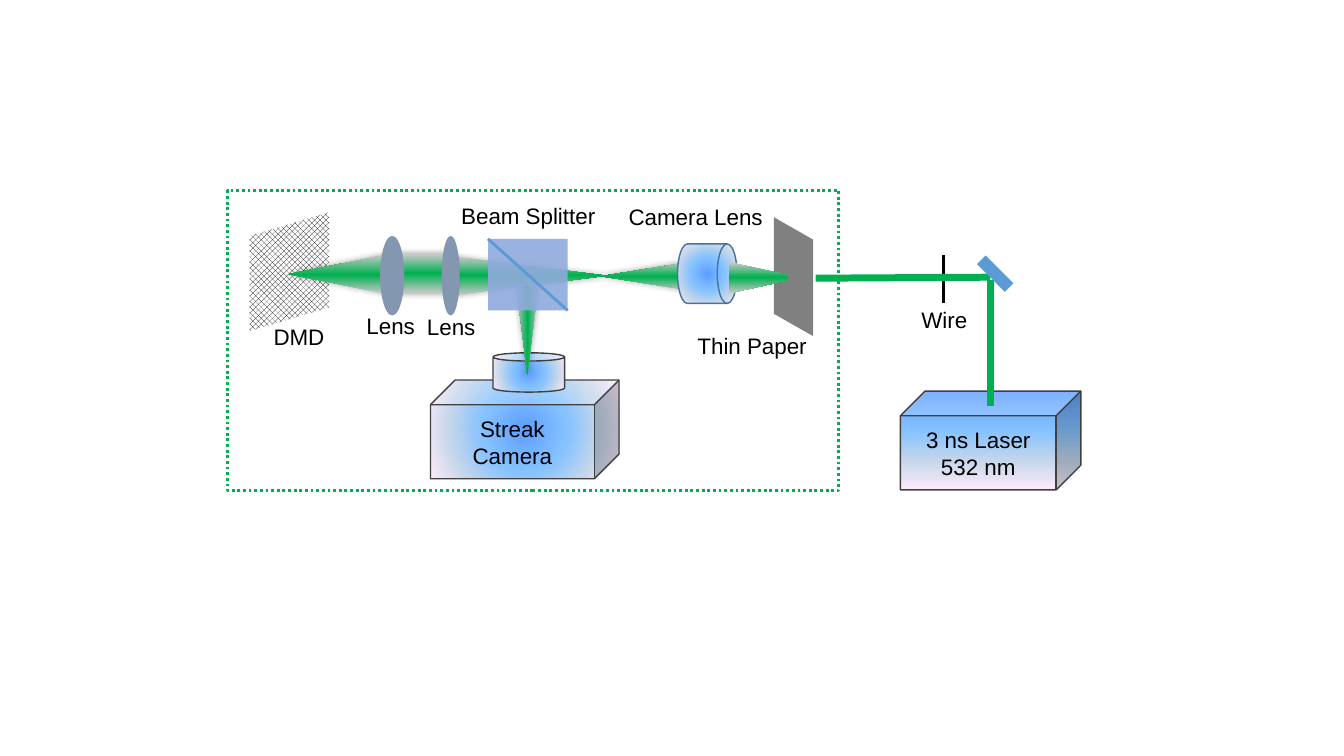
from lxml import etree
from pptx import Presentation
from pptx.dml.color import RGBColor
from pptx.enum.dml import MSO_LINE, MSO_PATTERN
from pptx.enum.shapes import MSO_CONNECTOR, MSO_SHAPE
from pptx.enum.text import MSO_ANCHOR, PP_ALIGN
from pptx.oxml.ns import qn
from pptx.util import Inches, Pt

TRIANGLE = MSO_SHAPE.ISOSCELES_TRIANGLE
RECTANGLE = MSO_SHAPE.RECTANGLE
CUBE = MSO_SHAPE.CUBE
CENTER, RIGHT = PP_ALIGN.CENTER, PP_ALIGN.RIGHT
BLANK_LAYOUT = 6

COLORS = {
    "black": "000000", "white": "FFFFFF", "green": "00B050", "beam_edge": "C9C9C9",
    "outline": "404040", "drum_outline": "43739E", "lens": "8497B0", "paper": "808080",
    "splitter": "8FAADC", "mirror": "5B9BD5",
    "glow_1": "5E9EFF", "glow_2": "85C2FF", "glow_3": "C4D6EB", "glow_4": "FFEBFA",
}
GLOW = [(0, "glow_1"), (40, "glow_2"), (70, "glow_3"), (100, "glow_4")]
BEAM = [(1, "beam_edge"), (48, "green"), (49, "green"), (100, "beam_edge")]


def rgb(name):
    return RGBColor.from_string(COLORS[name])


def child(parent, tag, **attributes):
    element = etree.SubElement(parent, qn(tag))
    for key, value in attributes.items():
        element.set(key, str(value))
    return element


def add_gradient(shape, stops, angle=None):
    """Linear gradient at the angle, or circular from the centre without one."""
    shape.fill.solid()
    properties = shape._element.spPr
    solid = properties.find(qn("a:solidFill"))
    gradient = etree.Element(qn("a:gradFill"), rotWithShape="1")
    stop_list = child(gradient, "a:gsLst")
    for position, color in stops:
        stop = child(stop_list, "a:gs", pos=position * 1000)
        child(stop, "a:srgbClr", val=COLORS[color])
    if angle is None:
        circle = child(gradient, "a:path", path="circle")
        child(circle, "a:fillToRect", l=50000, t=50000, r=50000, b=50000)
    else:
        child(gradient, "a:lin", ang=angle * 60000, scaled=0)
    properties.replace(solid, gradient)


def add_part(slide, kind, box, fill=None, line=None, width=1, rotation=0, adjustment=None):
    shape = slide.shapes.add_shape(kind, *(Inches(value) for value in box))
    shape.shadow.inherit = False
    shape.rotation = rotation
    if adjustment is not None:
        shape.adjustments[0] = adjustment
    if fill:
        shape.fill.solid()
        shape.fill.fore_color.rgb = rgb(fill)
    else:
        shape.fill.background()
    if line:
        shape.line.color.rgb = rgb(line)
        shape.line.width = Pt(width)
    else:
        shape.line.fill.background()
    return shape


def add_glowing_part(slide, kind, box, line="outline", angle=None, adjustment=None):
    shape = add_part(slide, kind, box, line=line, adjustment=adjustment)
    add_gradient(shape, GLOW, angle)
    return shape


def add_beam(slide, kind, box, rotation=0, angle=0, adjustment=None, halo=True):
    shape = add_part(slide, kind, box, rotation=rotation, adjustment=adjustment)
    add_gradient(shape, BEAM, angle)
    if halo:
        effects = shape._element.spPr.find(qn("a:effectLst"))
        shadow = child(effects, "a:outerShdw", blurRad=Pt(5), dist=0, dir=0,
                       algn="ctr", rotWithShape=0)
        color = child(shadow, "a:srgbClr", val=COLORS["black"])
        child(color, "a:alpha", val=40000)


def add_line(slide, start, end, color, width):
    points = [Inches(value) for value in (*start, *end)]
    connector = slide.shapes.add_connector(MSO_CONNECTOR.STRAIGHT, *points)
    connector.line.color.rgb = rgb(color)
    connector.line.width = Pt(width)
    child(connector._element.spPr, "a:effectLst")


def write(shape, lines, alignment=CENTER):
    frame = shape.text_frame
    frame.word_wrap = True
    for index, text in enumerate(lines):
        paragraph = frame.add_paragraph() if index else frame.paragraphs[0]
        paragraph.text = text
        paragraph.alignment = alignment
        paragraph.font.name = "Arial"
        paragraph.font.size = Pt(16)
        paragraph.font.color.rgb = rgb("black")


def add_label(slide, text, left, top, width, alignment=CENTER):
    box = slide.shapes.add_textbox(Inches(left), Inches(top), Inches(width), Inches(0.37))
    write(box, [text], alignment)


def add_device(slide, box, lines, angle=None):
    cube = add_glowing_part(slide, CUBE, box, angle=angle)
    cube.text_frame.vertical_anchor = MSO_ANCHOR.MIDDLE
    write(cube, lines)


def add_cable(slide, start, curves, steps=12):
    """Draw joined cubic curves as a fine open outline."""
    points = [start]
    for curve in curves:
        controls = [points[-1], *curve]
        for step in range(1, steps + 1):
            t = step / steps
            weights = ((1 - t) ** 3, 3 * t * (1 - t) ** 2, 3 * t * t * (1 - t), t ** 3)
            points.append(tuple(sum(weight * point[axis] for weight, point
                                    in zip(weights, controls)) for axis in (0, 1)))
    builder = slide.shapes.build_freeform(*start, scale=Inches(1))
    builder.add_line_segments(points[1:], close=False)
    cable = builder.convert_to_shape()
    cable.shadow.inherit = False
    cable.fill.background()
    cable.line.color.rgb = rgb("mirror")
    cable.line.width = Pt(1.5)
    cable.line.dash_style = MSO_LINE.SQUARE_DOT


def add_dmd(slide):
    dmd = add_part(slide, MSO_SHAPE.FLOWCHART_DATA, (2.28, 2.3, 1.18, 0.79), rotation=90)
    dmd._element.spPr.find(qn("a:xfrm")).set("flipV", "1")
    dmd.fill.patterned()
    dmd.fill.pattern = MSO_PATTERN.SOLID_DIAMOND
    dmd.fill.fore_color.rgb = rgb("black")
    dmd.fill.back_color.rgb = rgb("white")


def main():
    presentation = Presentation()
    presentation.slide_width, presentation.slide_height = Inches(13.33), Inches(7.5)
    slide = presentation.slides.add_slide(presentation.slide_layouts[BLANK_LAYOUT])

    # Laser, wire and camera lens
    add_line(slide, (9.36, 2.53), (9.36, 3.01), "black", 2)
    add_device(slide, (8.93, 3.88, 1.79, 0.98), ["3 ns Laser", "532 nm"], angle=90)
    add_beam(slide, TRIANGLE, (6.29, 2.25, 0.31, 0.98), rotation=270)
    add_glowing_part(slide, MSO_SHAPE.FLOWCHART_DIRECT_ACCESS_STORAGE,
                     (6.72, 2.42, 0.59, 0.59), line="drum_outline")

    # Streak camera
    add_device(slide, (4.27, 3.77, 1.87, 0.98), ["Streak Camera"])
    add_glowing_part(slide, MSO_SHAPE.CAN, (4.89, 3.5, 0.71, 0.39), adjustment=0.21)
    add_beam(slide, TRIANGLE, (5.11, 2.74, 0.24, 0.98), rotation=180)

    # Paper, DMD and the beams between them
    add_part(slide, MSO_SHAPE.PARALLELOGRAM, (7.28, 2.55, 1.18, 0.39), "paper",
             rotation=270, adjustment=0.57)
    add_dmd(slide)
    add_beam(slide, TRIANGLE, (5.04, 1.95, 0.39, 1.57), rotation=90)
    add_beam(slide, RECTANGLE, (3.92, 2.52, 0.59, 0.39), angle=90)
    add_beam(slide, TRIANGLE, (3.16, 2.23, 0.39, 0.98), rotation=270)
    for left, width in ((4.38, 0.18), (3.77, 0.24)):
        add_part(slide, MSO_SHAPE.OVAL, (left, 2.34, width, 0.79), "lens")

    # Labels
    add_label(slide, "DMD", 2.49, 3.16, 0.95)
    add_label(slide, "Lens", 3.44, 3.05, 0.87)
    add_label(slide, "Lens", 4.04, 3.06, 0.87)
    add_label(slide, "Camera Lens", 6, 1.97, 1.8)
    add_label(slide, "Thin Paper", 6.56, 3.25, 1.54, RIGHT)
    add_label(slide, "Beam Splitter", 4.34, 1.96, 1.8)
    add_label(slide, "Wire", 8.94, 2.99, 0.85)

    # Beam splitter
    splitter = add_part(slide, RECTANGLE, (4.84, 2.37, 0.79, 0.71), "splitter")
    color = splitter._element.spPr.find(qn("a:solidFill"))[0]
    child(color, "a:alpha", val=90000)
    add_line(slide, (4.84, 2.37), (5.63, 3.08), "mirror", 2)

    # Laser path and mirror
    add_beam(slide, MSO_SHAPE.TRAPEZOID, (7.37, 2.46, 0.31, 0.59), rotation=90,
             adjustment=0.42, halo=False)
    add_line(slide, (8.09, 2.76), (9.82, 2.75), "green", 5)
    add_line(slide, (9.82, 2.78), (9.82, 4.03), "green", 5)
    add_part(slide, RECTANGLE, (9.81, 2.52, 0.12, 0.39), "mirror", rotation=315)

    # Enclosure and camera cable
    enclosure = add_part(slide, RECTANGLE, (2.26, 1.89, 6.06, 2.98), line="green", width=2)
    enclosure.line.dash_style = MSO_LINE.ROUND_DOT
    add_cable(slide, (3.73, 3.97), [
        ((3.85, 3.95), (3.96, 3.93), (4.01, 3.99)),
        ((4.06, 4.05), (3.99, 4.25), (4.04, 4.32)),
        ((4.08, 4.39), (4.18, 4.41), (4.29, 4.42)),
    ])

    presentation.save("out.pptx")


if __name__ == "__main__":
    main()
